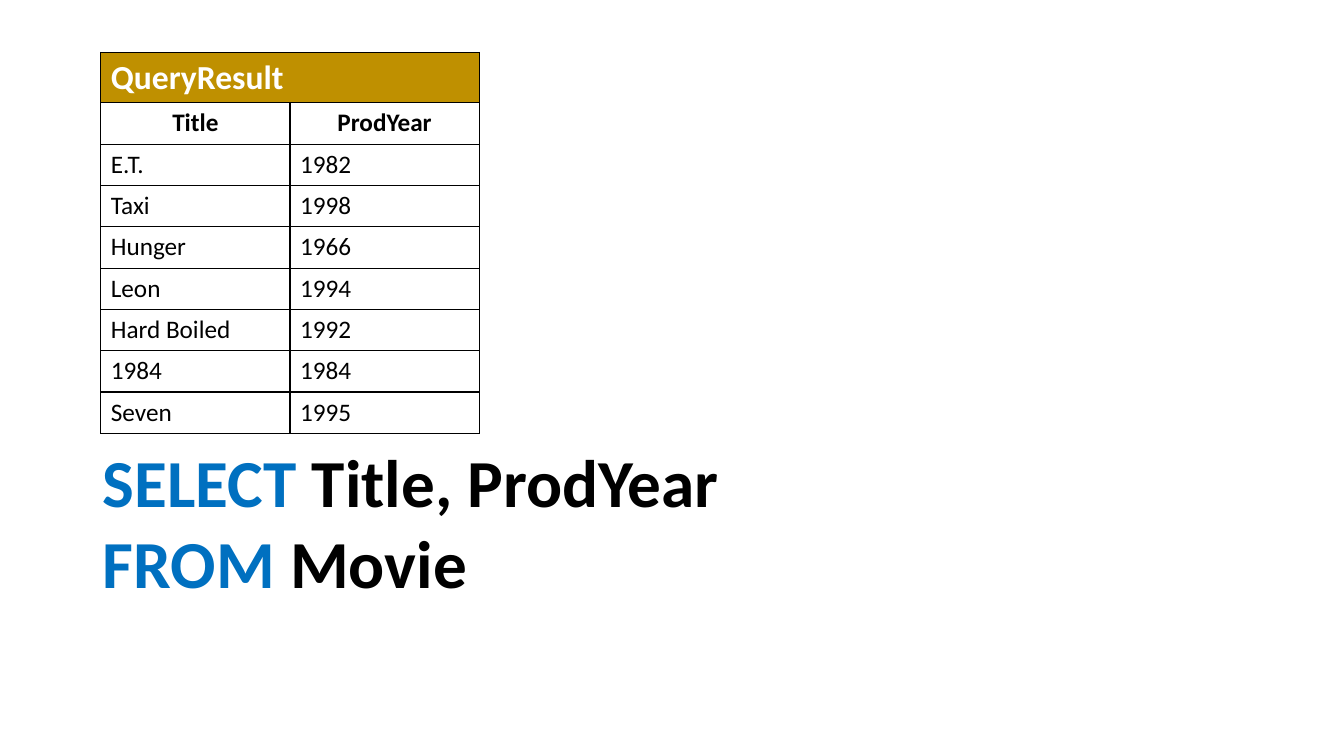
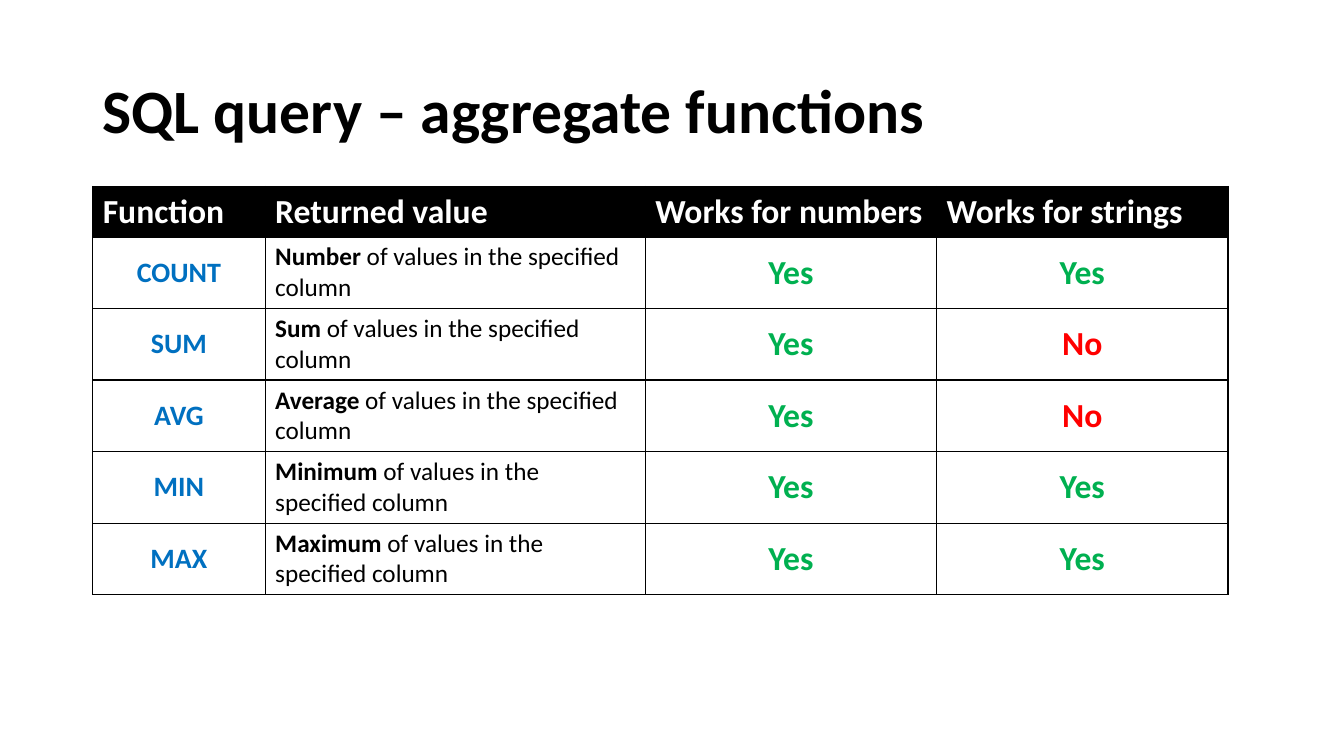
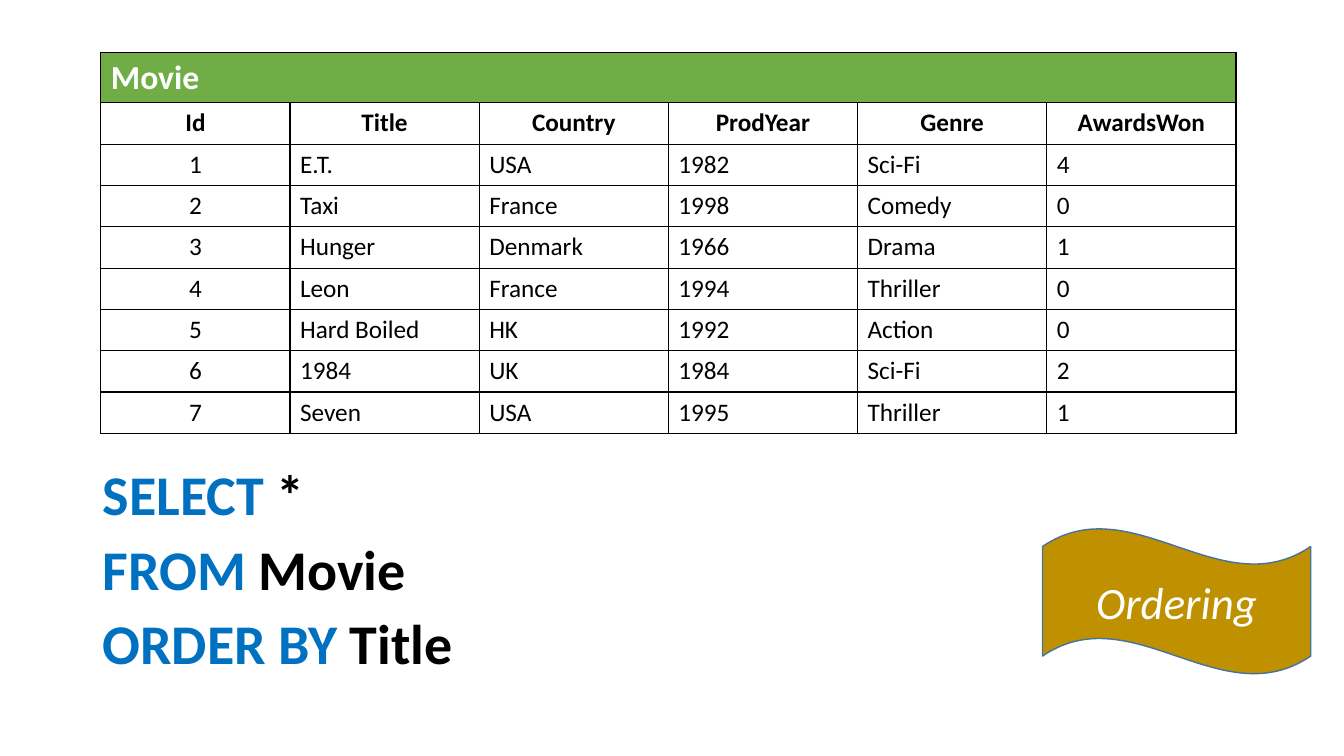
from lxml import etree
from pptx import Presentation
from pptx.dml.color import RGBColor
from pptx.enum.shapes import MSO_SHAPE as Shape
from pptx.enum.text import MSO_ANCHOR as Anchor, PP_ALIGN as Align
from pptx.oxml.ns import qn
from pptx.util import Inches, Pt

FONT = "Calibri"
COLORS = {
    "black": "000000",
    "white": "FFFFFF",
    "keyword": "0070C0",
    "gold": "BF9000",
    "green": "70AD47",
    "yes": "00B050",
    "no": "FF0000",
    "wave_line": "43739E",
}
LEFT = 0.92
TEXT_WIDTH = 11.5
TABLE_LEFT, TABLE_TOP = 1, 0.52
HEADER_HEIGHT = 0.5
ROW_HEIGHT = 0.41

MOVIES = [
    ("1", "E.T.", "USA", "1982", "Sci-Fi", "4"),
    ("2", "Taxi", "France", "1998", "Comedy", "0"),
    ("3", "Hunger", "Denmark", "1966", "Drama", "1"),
    ("4", "Leon", "France", "1994", "Thriller", "0"),
    ("5", "Hard Boiled", "HK", "1992", "Action", "0"),
    ("6", "1984", "UK", "1984", "Sci-Fi", "2"),
    ("7", "Seven", "USA", "1995", "Thriller", "1"),
]
MOVIE_FIELDS = ("Id", "Title", "Country", "ProdYear", "Genre", "AwardsWon")
COLUMN_WIDTH = 11.26 / len(MOVIE_FIELDS)
FUNCTIONS = [
    ("COUNT", "Number", "Yes", "Yes"),
    ("SUM", "Sum", "Yes", "No"),
    ("AVG", "Average", "Yes", "No"),
    ("MIN", "Minimum", "Yes", "Yes"),
    ("MAX", "Maximum", "Yes", "Yes"),
]
FUNCTION_FIELDS = ("Function", "Returned value", "Works for numbers", "Works for strings")
FUNCTION_WIDTHS = (1.71, 3.77, 2.89, 2.89)


def rgb(name):
    return RGBColor.from_string(COLORS[name])


def add_span(para, text, size, color="black", bold=False, italic=False):
    span = para.add_run()
    span.text = text
    font = span.font
    font.name, font.size = FONT, Pt(size)
    font.bold, font.italic = bold, italic
    font.color.rgb = rgb(color)


def add_text_box(slide, top, height, anchor=Anchor.TOP):
    box = slide.shapes.add_textbox(Inches(LEFT), Inches(top), Inches(TEXT_WIDTH), Inches(height))
    frame = box.text_frame
    frame.word_wrap = True
    frame.vertical_anchor = anchor
    return frame


def add_title(slide, text):
    para = add_text_box(slide, 0.4, 1.45, Anchor.MIDDLE).paragraphs[0]
    para.line_spacing = 0.9
    add_span(para, text, 44, bold=True)


def add_query(slide, top, height, size, space, clauses):
    frame = add_text_box(slide, top, height)
    for index, (keyword, rest) in enumerate(clauses):
        para = frame.add_paragraph() if index else frame.paragraphs[0]
        para.line_spacing = 0.9
        para.space_before = Pt(space)
        add_span(para, keyword, size, "keyword", bold=True)
        add_span(para, f" {rest}", size, bold=True)


def add_borders(cell):
    properties = cell._tc.get_or_add_tcPr()
    for side in ("a:lnL", "a:lnR", "a:lnT", "a:lnB"):
        line = etree.SubElement(properties, qn(side), w=str(Pt(1)))
        fill = etree.SubElement(line, qn("a:solidFill"))
        etree.SubElement(fill, qn("a:srgbClr"), val=COLORS["black"])


def add_grid(slide, left, top, widths, heights):
    frame = slide.shapes.add_table(
        len(heights), len(widths), Inches(left), Inches(top),
        Inches(sum(widths)), Inches(sum(heights)))
    table = frame.table
    table.first_row = table.horz_banding = False
    for column, width in zip(table.columns, widths):
        column.width = Inches(width)
    for row, height in zip(table.rows, heights):
        row.height = Inches(height)
    for cell in table.iter_cells():
        add_borders(cell)
        cell.fill.background()
    return table


def fill_cell(cell, text, size, color="black", bold=False, align=Align.LEFT,
              anchor=Anchor.TOP):
    cell.vertical_anchor = anchor
    para = cell.text_frame.paragraphs[0]
    para.alignment = align
    add_span(para, text, size, color, bold)
    return para


def fill_header(cell, text, color):
    cell.fill.solid()
    cell.fill.fore_color.rgb = rgb(color)
    fill_cell(cell, text, 24, "white", bold=True)


def add_data_table(slide, name, color, fields):
    heights = [HEADER_HEIGHT] + [ROW_HEIGHT] * (len(MOVIES) + 1)
    table = add_grid(slide, TABLE_LEFT, TABLE_TOP, [COLUMN_WIDTH] * len(fields), heights)
    table.cell(0, 0).merge(table.cell(0, len(fields) - 1))
    fill_header(table.cell(0, 0), name, color)
    for column, field in enumerate(fields):
        fill_cell(table.cell(1, column), field, 18, bold=True, align=Align.CENTER)
        align = Align.CENTER if field == "Id" else Align.LEFT
        for row, movie in enumerate(MOVIES, 2):
            value = movie[MOVIE_FIELDS.index(field)]
            fill_cell(table.cell(row, column), value, 18, align=align)


def add_function_table(slide):
    heights = [HEADER_HEIGHT] + [0.71] * len(FUNCTIONS)
    table = add_grid(slide, LEFT, 1.85, FUNCTION_WIDTHS, heights)
    for column, field in enumerate(FUNCTION_FIELDS):
        fill_header(table.cell(0, column), field, "black")
    centered = {"bold": True, "align": Align.CENTER, "anchor": Anchor.MIDDLE}
    for row, (function, result, *answers) in enumerate(FUNCTIONS, 1):
        fill_cell(table.cell(row, 0), function, 20, "keyword", **centered)
        para = fill_cell(table.cell(row, 1), result, 18, bold=True)
        add_span(para, " of values in the specified column", 18)
        for column, answer in enumerate(answers, 2):
            fill_cell(table.cell(row, column), answer, 24, answer.lower(), **centered)


def add_wave(slide, text):
    wave = slide.shapes.add_shape(
        Shape.WAVE, Inches(10.34), Inches(5.24), Inches(2.66), Inches(1.45))
    wave.shadow.inherit = False
    wave.fill.solid()
    wave.fill.fore_color.rgb = rgb("gold")
    wave.line.color.rgb = rgb("wave_line")
    wave.line.width = Pt(1)
    wave.text_frame.vertical_anchor = Anchor.MIDDLE
    para = wave.text_frame.paragraphs[0]
    para.alignment = Align.CENTER
    add_span(para, text, 32, "white", italic=True)


def main():
    deck = Presentation()
    deck.slide_width, deck.slide_height = Inches(13.33), Inches(7.5)
    blank = deck.slide_layouts[6]
    result_page, function_page, order_page = [deck.slides.add_slide(blank) for _ in range(3)]

    add_query(result_page, 4.41, 2.91, 48, 6,
              [("SELECT", "Title, ProdYear"), ("FROM", "Movie")])
    add_data_table(result_page, "QueryResult", "gold", ("Title", "ProdYear"))

    add_title(function_page, "SQL query – aggregate functions")
    add_function_table(function_page)

    add_query(order_page, 4.59, 2.57, 40, 10,
              [("SELECT", "*"), ("FROM", "Movie"), ("ORDER BY", "Title")])
    add_data_table(order_page, "Movie", "green", MOVIE_FIELDS)
    add_wave(order_page, "Ordering")

    deck.save("out.pptx")


if __name__ == "__main__":
    main()
